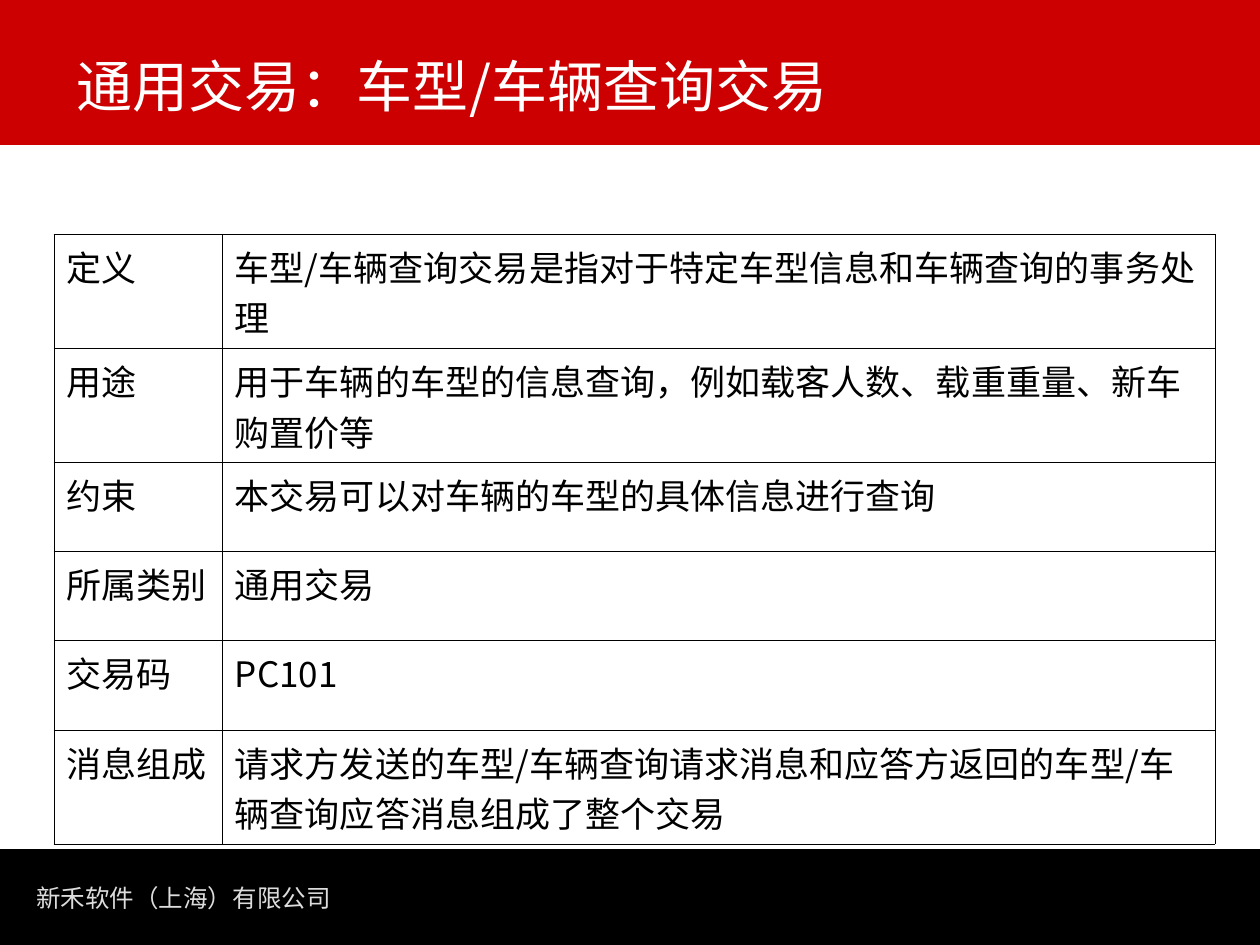
from dataclasses import dataclass

from lxml.etree import SubElement
from pptx import Presentation
from pptx.dml.color import RGBColor
from pptx.enum.shapes import MSO_SHAPE
from pptx.enum.text import MSO_ANCHOR, MSO_AUTO_SIZE
from pptx.oxml.ns import qn
from pptx.util import Cm, Pt

CJK_FONT = "Noto Sans CJK SC"
COLUMN_WIDTHS = (3.39, 20.01)
TALL_ROW, SHORT_ROW = 2.3, 1.8


@dataclass
class Band:
    """A full-width coloured strip."""
    top: float
    height: float
    color: str
    outlined: bool = False


@dataclass
class Label:
    """A line of text in its own box."""
    text: str
    box: tuple[float, float, float, float]
    size: int
    font: str
    color: str
    frame_format: dict


@dataclass
class Entry:
    """One row of the transaction table."""
    name: str
    detail: str
    height: float


BANDS = (
    Band(17.12, 1.93, "000000", outlined=True),
    Band(0, 2.92, "CC0000"),
)
LABELS = (
    Label("新禾软件（上海）有限公司", (0.48, 17.68, 6.45, 0.86), 14, "DejaVu Sans", "DDDDDD",
          {"word_wrap": False, "auto_size": MSO_AUTO_SIZE.SHAPE_TO_FIT_TEXT}),
    Label("通用交易：车型/车辆查询交易", (1.3, 0.13, 22.23, 2.39), 32, CJK_FONT, "FFFFFF",
          {"word_wrap": True, "vertical_anchor": MSO_ANCHOR.BOTTOM}),
)
ENTRIES = (
    Entry("定义", "车型/车辆查询交易是指对于特定车型信息和车辆查询的事务处理", TALL_ROW),
    Entry("用途", "用于车辆的车型的信息查询，例如载客人数、载重重量、新车购置价等", TALL_ROW),
    Entry("约束", "本交易可以对车辆的车型的具体信息进行查询", SHORT_ROW),
    Entry("所属类别", "通用交易", SHORT_ROW),
    Entry("交易码", "PC101", SHORT_ROW),
    Entry("消息组成", "请求方发送的车型/车辆查询请求消息和应答方返回的车型/车辆查询应答消息组成了整个交易",
          TALL_ROW),
)


def hex_color(value: str) -> RGBColor:
    """Turn a hex string into a colour."""
    return RGBColor.from_string(value)


def write_text(frame, text: str, size: int, font: str, color: str) -> None:
    """Put one formatted span into a text frame."""
    span = frame.paragraphs[0].add_run()
    span.text = text
    for name, value in {"size": Pt(size), "name": font}.items():
        setattr(span.font, name, value)
    span.font.color.rgb = hex_color(color)
    SubElement(span.font._element, qn("a:ea"), typeface=font)


def draw_band(page, band: Band, width: int) -> None:
    """Draw a strip across the page."""
    shape = page.shapes.add_shape(MSO_SHAPE.RECTANGLE, 0, Cm(band.top), width, Cm(band.height))
    shape.shadow.inherit = False
    shape.fill.solid()
    shape.fill.fore_color.rgb = hex_color(band.color)
    if band.outlined:
        shape.line.color.rgb = hex_color(band.color)
        shape.line.width = Pt(0.75)
    else:
        shape.line.fill.background()


def draw_label(page, label: Label) -> None:
    """Draw a text box."""
    frame = page.shapes.add_textbox(*map(Cm, label.box)).text_frame
    for name, value in label.frame_format.items():
        setattr(frame, name, value)
    write_text(frame, label.text, label.size, label.font, label.color)


def style_cell(cell) -> None:
    """Give a cell thin black borders and no fill."""
    properties = cell._tc.get_or_add_tcPr()
    for side in ("lnL", "lnR", "lnT", "lnB"):
        border = SubElement(properties, qn(f"a:{side}"), w=str(Pt(0.45)))
        fill = SubElement(border, qn("a:solidFill"))
        SubElement(fill, qn("a:srgbClr"), val="000000")
    cell.fill.background()


def draw_table(page, entries: tuple[Entry, ...]) -> None:
    """Draw the transaction table."""
    height = sum(entry.height for entry in entries)
    table = page.shapes.add_table(len(entries), len(COLUMN_WIDTHS), Cm(1.09), Cm(4.72),
                                  Cm(sum(COLUMN_WIDTHS)), Cm(height)).table
    for name in ("first_row", "horz_banding"):
        setattr(table, name, False)
    for column, width in zip(table.columns, COLUMN_WIDTHS):
        column.width = Cm(width)
    for row, entry in zip(table.rows, entries):
        row.height = Cm(entry.height)
        for cell, text in zip(row.cells, (entry.name, entry.detail)):
            write_text(cell.text_frame, text, 20, CJK_FONT, "000000")
            style_cell(cell)


def main() -> None:
    """Build and save the deck."""
    deck = Presentation()
    deck.slide_width, deck.slide_height = Cm(25.4), Cm(19.05)
    page = deck.slides.add_slide(deck.slide_layouts[6])
    for band in BANDS:
        draw_band(page, band, deck.slide_width)
    for label in LABELS:
        draw_label(page, label)
    draw_table(page, ENTRIES)
    deck.save("out.pptx")


if __name__ == "__main__":
    main()
